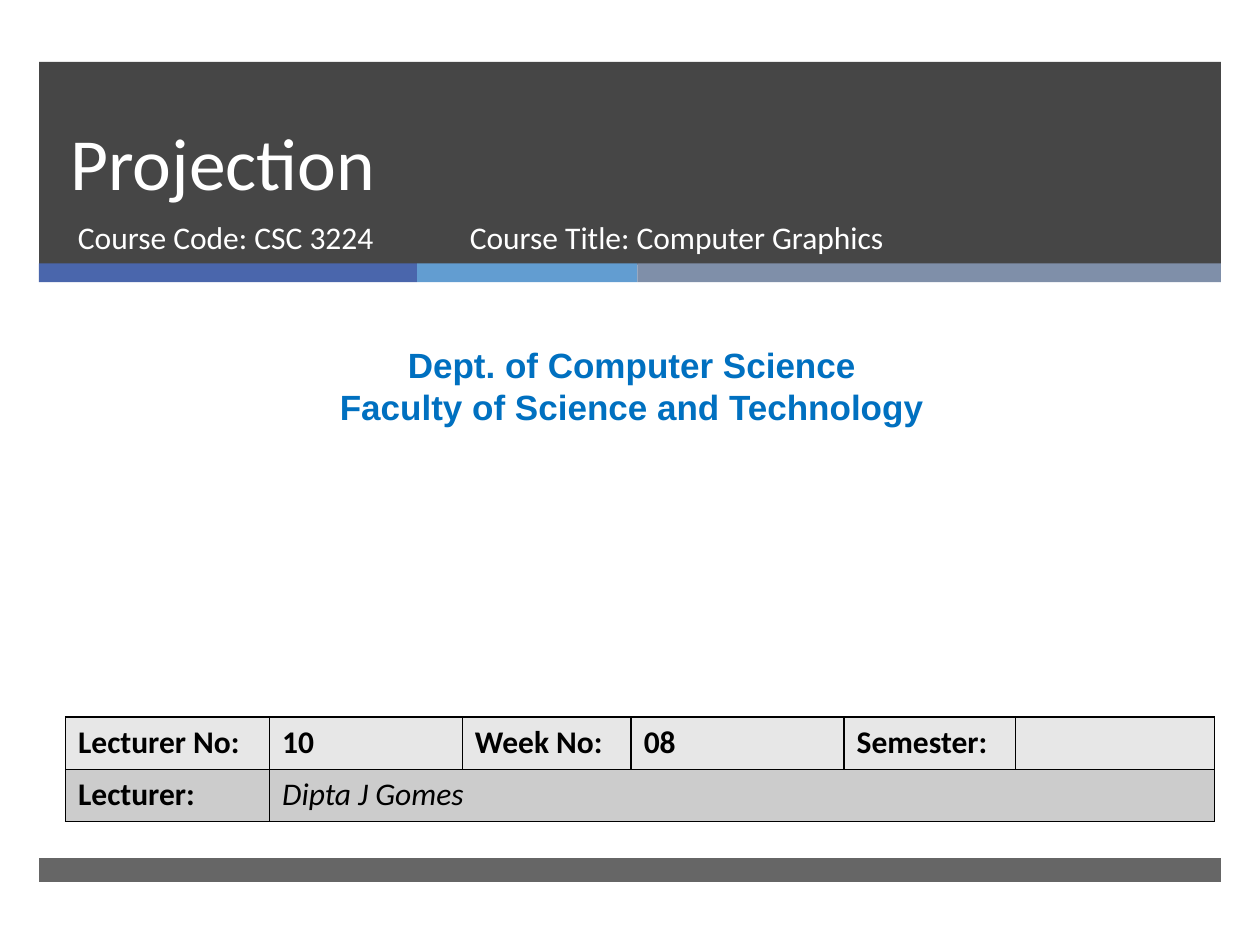
from lxml import etree
from pptx import Presentation
from pptx.dml.color import RGBColor
from pptx.enum.shapes import MSO_SHAPE
from pptx.enum.text import MSO_ANCHOR, PP_ALIGN
from pptx.oxml.ns import qn
from pptx.util import Inches, Pt

RECT = MSO_SHAPE.RECTANGLE
TOP, BOTTOM = MSO_ANCHOR.TOP, MSO_ANCHOR.BOTTOM
LEFT, CENTER = PP_ALIGN.LEFT, PP_ALIGN.CENTER
EDGE, WIDE = 0.31, 9.38
DARK, WHITE, BLACK = "262626", "FFFFFF", "000000"
STRIPES = [(3, "4A66AC"), (1.75, "629DD1"), (4.63, "7F8FA9")]
COLS = [1.62, 1.53, 1.34, 1.69, 1.36, 1.58]
ROWS = [
    ("E7E7E7", ["Lecturer No:", "10", "Week No:", "08", "Semester:", ""]),
    ("CCCCCC", ["Lecturer:", "Dipta J Gomes", "", "", "", ""]),
]


def paint(fill, color):
    fill.solid()
    fill.fore_color.rgb = RGBColor.from_string(color)


def style(font, size, color, name="Calibri", bold=False, italic=False):
    font.name = name
    font.size = Pt(size)
    font.bold = bold
    font.italic = italic
    font.color.rgb = RGBColor.from_string(color)


def add_bar(slide, left, top, width, height, color, alpha=100):
    bar = slide.shapes.add_shape(
        RECT, Inches(left), Inches(top), Inches(width), Inches(height))
    bar.shadow.inherit = False
    bar.line.fill.background()
    paint(bar.fill, color)
    if alpha < 100:
        tint = bar.fill._xPr.find(qn("a:solidFill"))[0]
        etree.SubElement(tint, qn("a:alpha"), val=str(alpha * 1000))


def add_text(slide, box, text, size, color=WHITE, name="Calibri",
             bold=False, align=LEFT, anchor=TOP, space=None):
    frame = slide.shapes.add_textbox(*map(Inches, box)).text_frame
    frame.word_wrap = True
    frame.vertical_anchor = anchor
    frame.text = text
    for para in frame.paragraphs:
        para.alignment = align
        if space:
            para.line_spacing = Pt(space)
        for run in para.runs:
            style(run.font, size, color, name, bold)


def add_edges(cell):
    props = cell._tc.get_or_add_tcPr()
    for spot, side in enumerate(("a:lnL", "a:lnR", "a:lnT", "a:lnB")):
        line = etree.Element(qn(side), w=str(Pt(1)))
        fill = etree.SubElement(line, qn("a:solidFill"))
        etree.SubElement(fill, qn("a:srgbClr"), val=BLACK)
        props.insert(spot, line)


def add_grid(slide, left, top, height):
    grid = slide.shapes.add_table(
        len(ROWS), len(COLS), Inches(left), Inches(top),
        Inches(sum(COLS)), Inches(height)).table
    for col, width in zip(grid.columns, COLS):
        col.width = Inches(width)
    for r, (color, texts) in enumerate(ROWS):
        for c, text in enumerate(texts):
            cell = grid.cell(r, c)
            cell.text = text
            paint(cell.fill, color)
            add_edges(cell)
            name = (r, c) == (1, 1)
            style(cell.text_frame.paragraphs[0].font, 18, BLACK,
                  bold=not name, italic=name)
    grid.cell(1, 1).merge(grid.cell(1, len(COLS) - 1))


def main():
    deck = Presentation()
    deck.slide_width, deck.slide_height = Inches(10), Inches(7.5)
    slide = deck.slides.add_slide(deck.slide_layouts[6])
    paint(slide.background.fill, WHITE)

    add_bar(slide, EDGE, 0.49, WIDE, 1.61, DARK, 85)
    left = EDGE
    for width, color in STRIPES:
        add_bar(slide, left, 2.09, width, 0.15, color)
        left += width
    add_bar(slide, EDGE, 6.81, WIDE, 0.19, DARK, 70)

    add_text(slide, (0.46, 0.49, 8.54, 1.19), "Projection", 42,
             anchor=BOTTOM, space=46)
    add_text(slide, (0.52, 1.68, 3.05, 0.53), "Course Code: CSC 3224", 18)
    add_text(slide, (3.63, 1.68, 4.55, 0.53),
             "Course Title: Computer Graphics", 18)
    add_text(slide, (0.08, 2.68, 9.87, 0.77),
             "Dept. of Computer Science\nFaculty of Science and Technology",
             20, "0070C0", "Arial", True, CENTER)
    add_grid(slide, 0.52, 5.69, 0.83)
    deck.save("out.pptx")


if __name__ == "__main__":
    main()
